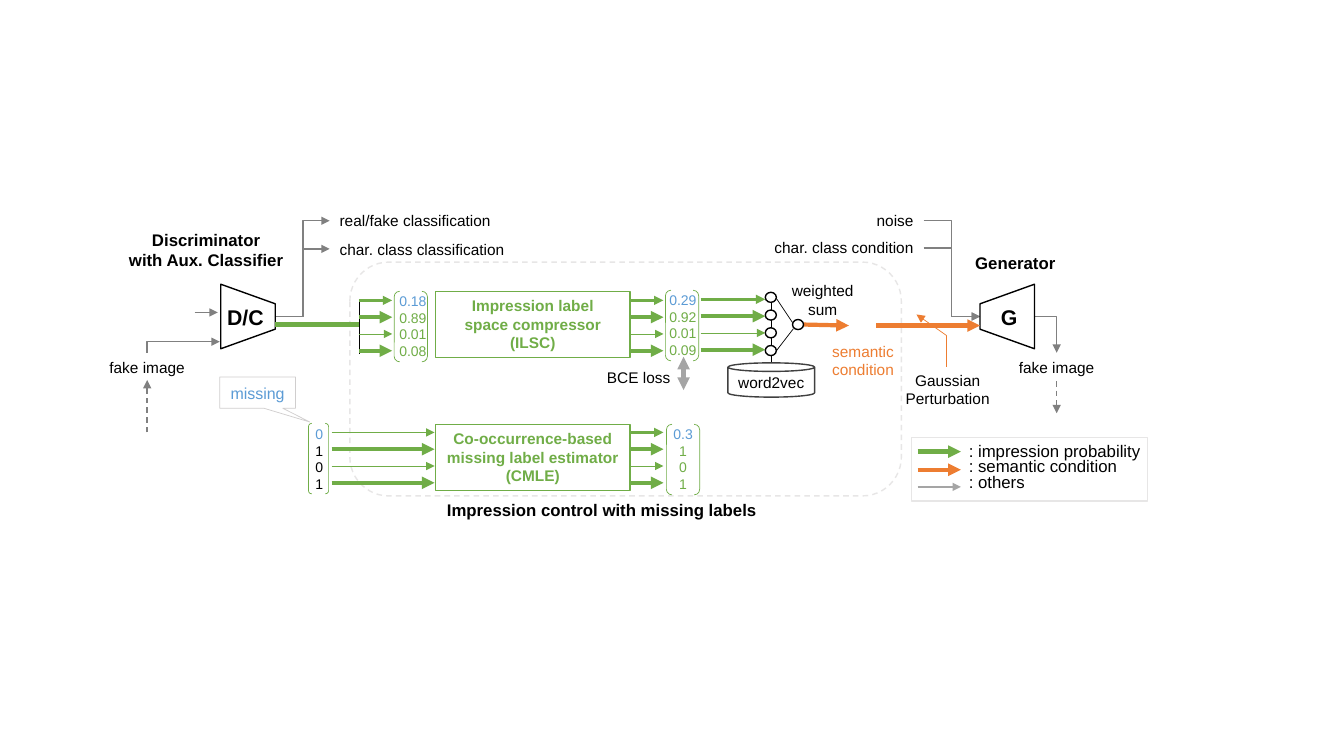
from pptx import Presentation
from pptx.dml.color import RGBColor
from pptx.enum.dml import MSO_LINE
from pptx.enum.shapes import MSO_CONNECTOR as CONN, MSO_SHAPE as SHAPE
from pptx.enum.text import MSO_ANCHOR, MSO_AUTO_SIZE, PP_ALIGN
from pptx.oxml.ns import qn
from pptx.util import Inches, Pt
from lxml.etree import SubElement

BLACK, WHITE, GRAY, SILVER, PALE = "000000", "FFFFFF", "808080", "A5A5A5", "E7E6E6"
GREEN, BLUE, ORANGE = "70AD47", "5B9BD5", "ED7D31"
ALIGN = {"l": PP_ALIGN.LEFT, "c": PP_ALIGN.CENTER, "r": PP_ALIGN.RIGHT}

NETWORKS = [
    (2.14, 90, "D/C", (2.15, 2.97, 0.57, 0.36)),
    (9.67, 270, "G", (9.83, 2.97, 0.36, 0.36)),
]
ELBOWS = [
    (2.74, 3.14, 3.27, 2.19),
    (2.74, 3.14, 3.27, 2.47),
    (9.16, 2.19, 9.72, 3.14),
    (9.16, 2.46, 9.72, 3.14),
]
CORNERS = [
    (10.26, 3.14, 10.48, 3.5, "tail"),
    (2.18, 3.39, 1.46, 3.5, "head"),
]
MODULES = [
    (2.89, ["Impression label", "space compressor", "(ILSC)"]),
    (4.21, ["Co-occurrence-based", "missing label estimator", "(CMLE)"]),
]
MIXED, BINARY = (2.25, 3, 0.25, 3), (0.25, 3, 0.25, 3)
ARROW_GROUPS = [
    (3.56, 3.89, 2.98, MIXED),
    (6.25, 6.58, 2.98, MIXED),
    (6.95, 7.59, 2.97, MIXED),
    (3.29, 4.31, 4.29, BINARY),
    (6.25, 6.58, 4.29, MIXED),
]
VECTORS = [
    (["0.18", "0.89", "0.01", "0.08"], (3.86, 2.85, 0.47, 0.77), (3.91, 2.89, 0.33, 0.7), "c", GREEN),
    (["0.29", "0.92", "0.01", "0.09"], (6.54, 2.84, 0.47, 0.77), (6.6, 2.88, 0.33, 0.7), "l", GREEN),
    (["0", "1", "0", "1"], (3.03, 4.17, 0.28, 0.77), (3.06, 4.2, 0.2, 0.7), "l", BLACK),
    (["0.3", "1", "0", "1"], (6.58, 4.17, 0.39, 0.77), (6.61, 4.21, 0.33, 0.7), "c", GREEN),
]
HEADINGS = [
    (["Discriminator", "with Aux. Classifier"], (1.13, 2.23, 1.83, 0.5)),
    (["Generator"], (9.57, 2.46, 1, 0.3)),
    (["Impression control with missing labels"], (4.29, 4.91, 3.36, 0.3)),
]
LABELS = [
    (["real/fake classification"], (3.27, 2.05, 1.71, 0.29), "l", BLACK),
    (["char. class classification"], (3.27, 2.33, 1.86, 0.29), "l", BLACK),
    (["noise"], (8.59, 2.05, 0.57, 0.29), "r", BLACK),
    (["char. class condition"], (7.51, 2.31, 1.65, 0.29), "r", BLACK),
    (["weighted", "sum"], (7.73, 2.74, 0.86, 0.47), "c", BLACK),
    (["semantic", "condition"], (8.14, 3.34, 0.84, 0.48), "c", ORANGE),
    (["BCE loss"], (5.8, 3.6, 1.07, 0.29), "c", BLACK),
    (["Gaussian", "Perturbation"], (8.88, 3.63, 1.04, 0.47), "c", BLACK),
    (["fake image"], (0.98, 3.5, 0.96, 0.29), "c", BLACK),
    (["fake image"], (10, 3.5, 0.96, 0.29), "c", BLACK),
]
WIRES = [
    (7.65, 2.9, 7.65, 3.6, BLACK, 0.5, ""),
    (7.7, 2.96, 7.86, 3.2, BLACK, 0.5, ""),
    (7.7, 3.48, 7.87, 3.26, BLACK, 0.5, ""),
    (1.93, 3.1, 2.16, 3.1, GRAY, 1, "tail"),
    (2.73, 3.22, 3.56, 3.22, GREEN, 3, ""),
    (3.56, 2.98, 3.56, 3.51, BLACK, 0.5, ""),
    (7.97, 3.22, 8.42, 3.23, ORANGE, 3, "tail"),
    (8.69, 3.23, 9.72, 3.23, ORANGE, 3, "tail"),
    (9.39, 3.33, 9.09, 3.12, ORANGE, 0.5, "tail"),
    (9.39, 3.33, 9.39, 3.64, ORANGE, 0.5, ""),
    (6.78, 3.87, 6.78, 3.54, SILVER, 3, "head tail"),
]
DASHED = [(1.46, 4.29, 1.46, 3.77), (10.48, 3.78, 10.48, 4.1)]
LEGEND = [
    (": impression probability", GREEN, 3, 4.48),
    (": semantic condition", ORANGE, 3, 4.66),
    (": others", SILVER, 1, 4.83),
]

prs = Presentation()
prs.slide_width, prs.slide_height = Inches(13.33), Inches(7.5)
s = prs.slides.add_slide(prs.slide_layouts[6])


def rgb(color):
    return RGBColor.from_string(color)


def write(tf, lines, size, colors, bold=False, align="c"):
    tf.text = "\n".join(lines)
    for i, p in enumerate(tf.paragraphs):
        p.alignment = ALIGN[align]
        font = p.runs[0].font
        font.name, font.size, font.bold = "Arial", Pt(size), bold
        font.color.rgb = rgb(colors[min(i, len(colors) - 1)])


def label(lines, box, size, colors, bold=False, align="c"):
    tf = s.shapes.add_textbox(*map(Inches, box)).text_frame
    write(tf, lines, size, colors, bold, align)
    tf.word_wrap = False
    tf.auto_size = MSO_AUTO_SIZE.SHAPE_TO_FIT_TEXT
    return tf


def shape(kind, box, color, width=1, fill=None):
    sp = s.shapes.add_shape(kind, *map(Inches, box))
    sp.shadow.inherit = False
    if fill:
        sp.fill.solid()
        sp.fill.fore_color.rgb = rgb(fill)
    else:
        sp.fill.background()
    sp.line.color.rgb = rgb(color)
    sp.line.width = Pt(width)
    return sp


def wire(x1, y1, x2, y2, color=GRAY, width=1, ends="tail", kind=CONN.STRAIGHT):
    c = s.shapes.add_connector(kind, *map(Inches, (x1, y1, x2, y2)))
    c.line.color.rgb = rgb(color)
    c.line.width = Pt(width)
    ln = c.line._get_or_add_ln()
    for end in ends.split():
        SubElement(ln, qn(f"a:{end}End"), type="triangle")
    SubElement(c._element.spPr, qn("a:effectLst"))
    return c


frame = shape(SHAPE.ROUNDED_RECTANGLE, (3.47, 2.6, 5.47, 2.32), PALE)
frame.line.dash_style = MSO_LINE.DASH

for elbow in ELBOWS:
    wire(*elbow, kind=CONN.ELBOW)
for x1, y1, x2, y2, end in CORNERS:
    corner = wire(x1, y1, x2, y2, ends=end, kind=CONN.ELBOW)
    corner._element.spPr.find(qn("a:prstGeom")).set("prst", "bentConnector2")
for x, turn, name, box in NETWORKS:
    net = shape(SHAPE.TRAPEZOID, (x, 2.87, 0.64, 0.54), BLACK, 1, WHITE)
    net.rotation = turn
    net.adjustments[0] = 0.36
    label([name], box, 15.2, [BLACK], True)

for y, lines in MODULES:
    module = shape(SHAPE.RECTANGLE, (4.32, y, 1.93, 0.66), GREEN, 1, WHITE)
    module.text_frame.vertical_anchor = MSO_ANCHOR.TOP
    write(module.text_frame, lines, 11, [GREEN], True)

for args in WIRES:
    wire(*args)
for args in DASHED:
    wire(*args).line.dash_style = MSO_LINE.DASH

nodes = [(7.59, 2.9 + 0.176 * i) for i in range(4)] + [(7.86, 3.17)]
for x, y in nodes:
    shape(SHAPE.OVAL, (x, y, 0.11, 0.1), BLACK, 1, WHITE)
for x1, x2, top, widths in ARROW_GROUPS:
    for i, width in enumerate(widths):
        y = top + i * 0.5 / 3
        wire(x1, y, x2, y, GREEN, width)

for values, box, bracket, align, color in VECTORS:
    label(values, box, 10, [BLUE, color], align=align)
    shape(SHAPE.DOUBLE_BRACKET, bracket, GREEN, 0.5)

for lines, box in HEADINGS:
    label(lines, box, 12, [BLACK], True)
for lines, box, align, color in LABELS:
    tf = label(lines, box, 11, [color], align=align)
    tf.word_wrap = lines[0] in ("char. class condition", "BCE loss")

callout = shape(SHAPE.RECTANGULAR_CALLOUT, (2.18, 3.74, 0.75, 0.31), "D0CECE", 0.5, WHITE)
callout.adjustments[0], callout.adjustments[1] = 0.69, 0.94
write(callout.text_frame, ["missing"], 11.4, [BLUE])
store = shape(SHAPE.CAN, (7.22, 3.6, 0.86, 0.34), "404040")
write(store.text_frame, ["word2vec"], 11, [BLACK])
for sp in (callout, store):
    sp.text_frame.word_wrap = False

shape(SHAPE.RECTANGLE, (9.04, 4.34, 2.34, 0.63), PALE)
for text, color, width, y in LEGEND:
    wire(9.1, y, 9.53, y, color, width)
key = label([row[0] for row in LEGEND], (9.51, 4.37, 1.95, 0.56), 12, [BLACK], align="l")
for p in key.paragraphs:
    p.line_spacing = Pt(11)

prs.save("out.pptx")
